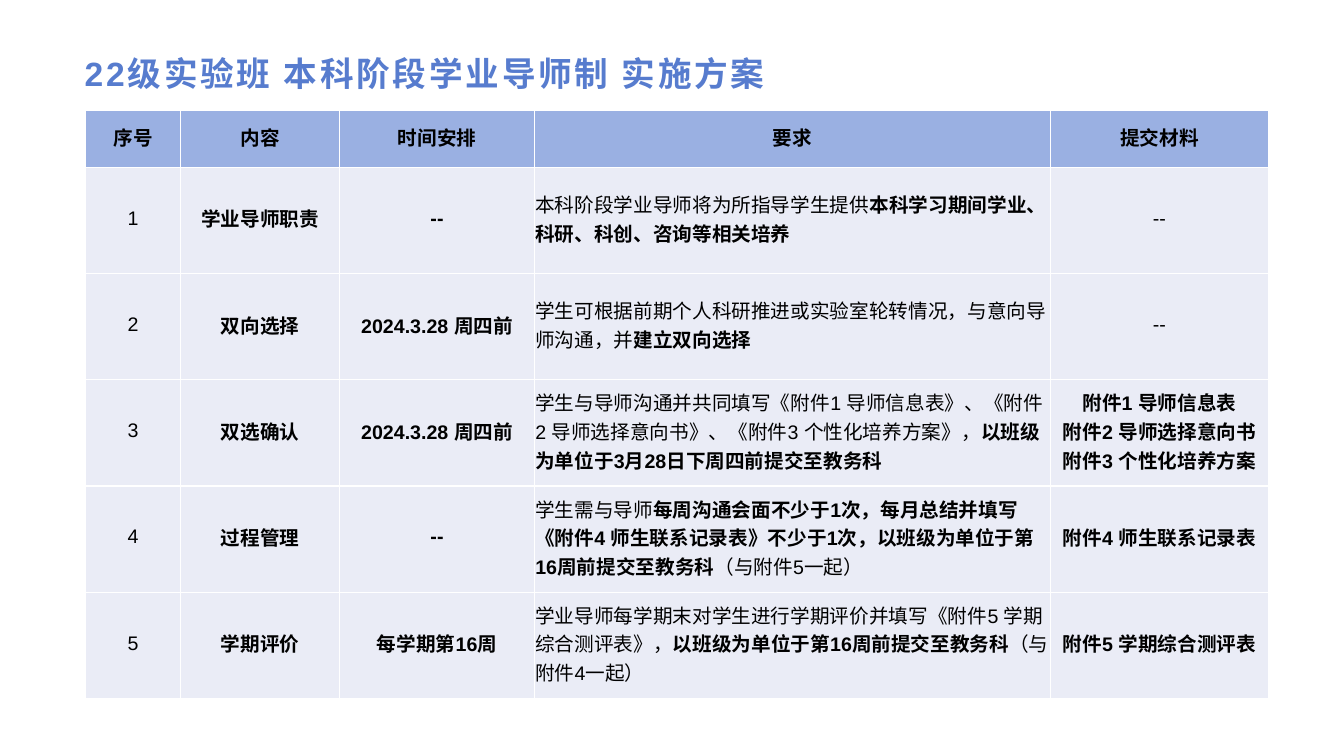
import dataclasses

import lxml.etree
import pptx
import pptx.dml.color
import pptx.enum.lang
import pptx.enum.text
import pptx.oxml.ns
import pptx.util

Inches = pptx.util.Inches
Pt = pptx.util.Pt
CENTER = pptx.enum.text.PP_ALIGN.CENTER
LEFT = pptx.enum.text.PP_ALIGN.LEFT
MIDDLE = pptx.enum.text.MSO_ANCHOR.MIDDLE

FONT = "Arial"
TITLE_BLUE = "577CCE"
HEADER_BLUE = "9AB0E2"
ROW_BLUE = "EAECF6"
BLACK = "000000"
WHITE = "FFFFFF"

TABLE_LEFT, TABLE_TOP = 0.85, 1.1
TABLE_HEIGHT, HEADER_HEIGHT = 5.83, 0.56
COLUMN_WIDTHS = [0.94, 1.58, 1.93, 5.12, 2.16]
HEADERS = ["序号", "内容", "时间安排", "要求", "提交材料"]
NONE_YET = "--"


@dataclasses.dataclass(frozen=True)
class Span:
    text: str
    bold: bool = False


@dataclasses.dataclass(frozen=True)
class Stage:
    topic: str
    schedule: str
    requirement: list[Span]
    materials: list[str]


STAGES = [
    Stage("学业导师职责", NONE_YET,
          [Span("本科阶段学业导师将为所指导学生提供"),
           Span("本科学习期间学业、科研、科创、咨询等相关培养", True)],
          []),
    Stage("双向选择", "2024.3.28 周四前",
          [Span("学生可根据前期个人科研推进或实验室轮转情况，与意向导师沟通，并"),
           Span("建立双向选择", True)],
          []),
    Stage("双选确认", "2024.3.28 周四前",
          [Span("学生与导师沟通并共同填写《附件1 导师信息表》、《附件2 导师选择意向书》、"
                "《附件3 个性化培养方案》，"),
           Span("以班级为单位于3月28日下周四前提交至教务科", True)],
          ["附件1 导师信息表", "附件2 导师选择意向书", "附件3 个性化培养方案"]),
    Stage("过程管理", NONE_YET,
          [Span("学生需与导师"),
           Span("每周沟通会面不少于1次，每月总结并填写《附件4 师生联系记录表》不少于1次，"
                "以班级为单位于第16周前提交至教务科", True),
           Span("（与附件5一起）")],
          ["附件4 师生联系记录表"]),
    Stage("学期评价", "每学期第16周",
          [Span("学业导师每学期末对学生进行学期评价并填写《附件5 学期综合测评表》，"),
           Span("以班级为单位于第16周前提交至教务科", True),
           Span("（与附件4一起）")],
          ["附件5 学期综合测评表"]),
]


def color(value: str) -> pptx.dml.color.RGBColor:
    return pptx.dml.color.RGBColor.from_string(value)


def add_run(paragraph, span: Span, size: float, ink: str):
    run = paragraph.add_run()
    run.text = span.text
    run.font.name = FONT
    run.font.size = Pt(size)
    run.font.bold = span.bold
    run.font.color.rgb = color(ink)
    run.font.language_id = pptx.enum.lang.MSO_LANGUAGE_ID.SIMPLIFIED_CHINESE
    return run


def add_borders(cell) -> None:
    properties = cell._tc.get_or_add_tcPr()
    qn = pptx.oxml.ns.qn
    for side in ("a:lnL", "a:lnR", "a:lnT", "a:lnB"):
        line = lxml.etree.SubElement(properties, qn(side), w=str(Pt(1)))
        fill = lxml.etree.SubElement(line, qn("a:solidFill"))
        lxml.etree.SubElement(fill, qn("a:srgbClr"), val=WHITE)


def fill_cell(cell, lines: list[list[Span]], background: str, alignment=CENTER) -> None:
    add_borders(cell)
    cell.fill.solid()
    cell.fill.fore_color.rgb = color(background)
    cell.vertical_anchor = MIDDLE
    cell.margin_left = cell.margin_right = cell.margin_top = Inches(0.01)
    cell.margin_bottom = Inches(0.05)
    for index, spans in enumerate(lines):
        frame = cell.text_frame
        paragraph = frame.add_paragraph() if index else frame.paragraphs[0]
        paragraph.alignment = alignment
        for span in spans:
            add_run(paragraph, span, 14, BLACK)


def add_title(slide) -> None:
    title = slide.shapes.add_textbox(Inches(0.73), Inches(0.48), Inches(11.87), Inches(0.48))
    frame = title.text_frame
    frame.word_wrap = True
    frame.vertical_anchor = MIDDLE
    frame.margin_left, frame.margin_right = Inches(0.11), Inches(0.08)
    frame.margin_top = frame.margin_bottom = Inches(0.04)
    heading = Span("22级实验班 本科阶段学业导师制 实施方案", True)
    run = add_run(frame.paragraphs[0], heading, 24, TITLE_BLUE)
    run.font._element.set("spc", "200")


def add_plan(slide) -> None:
    """Draw the table of mentoring stages."""
    plan = slide.shapes.add_table(
        len(STAGES) + 1, len(HEADERS), Inches(TABLE_LEFT), Inches(TABLE_TOP),
        Inches(sum(COLUMN_WIDTHS)), Inches(TABLE_HEIGHT)).table
    plan.horz_banding = False
    for column, width in zip(plan.columns, COLUMN_WIDTHS):
        column.width = Inches(width)
    plan.rows[0].height = Inches(HEADER_HEIGHT)
    for column, header in enumerate(HEADERS):
        fill_cell(plan.cell(0, column), [[Span(header, True)]], HEADER_BLUE)

    for number, stage in enumerate(STAGES, start=1):
        plan.rows[number].height = Inches((TABLE_HEIGHT - HEADER_HEIGHT) / len(STAGES))
        materials = [[Span(name, True)] for name in stage.materials]
        contents = [
            [[Span(str(number))]],
            [[Span(stage.topic, True)]],
            [[Span(stage.schedule, True)]],
            [stage.requirement],
            materials or [[Span(NONE_YET)]],
        ]
        for column, lines in enumerate(contents):
            alignment = LEFT if HEADERS[column] == "要求" else CENTER
            fill_cell(plan.cell(number, column), lines, ROW_BLUE, alignment)


def main() -> None:
    deck = pptx.Presentation()
    deck.slide_width, deck.slide_height = Inches(13.33), Inches(7.5)
    slide = deck.slides.add_slide(deck.slide_layouts[6])
    add_title(slide)
    add_plan(slide)
    deck.save("out.pptx")


if __name__ == "__main__":
    main()
